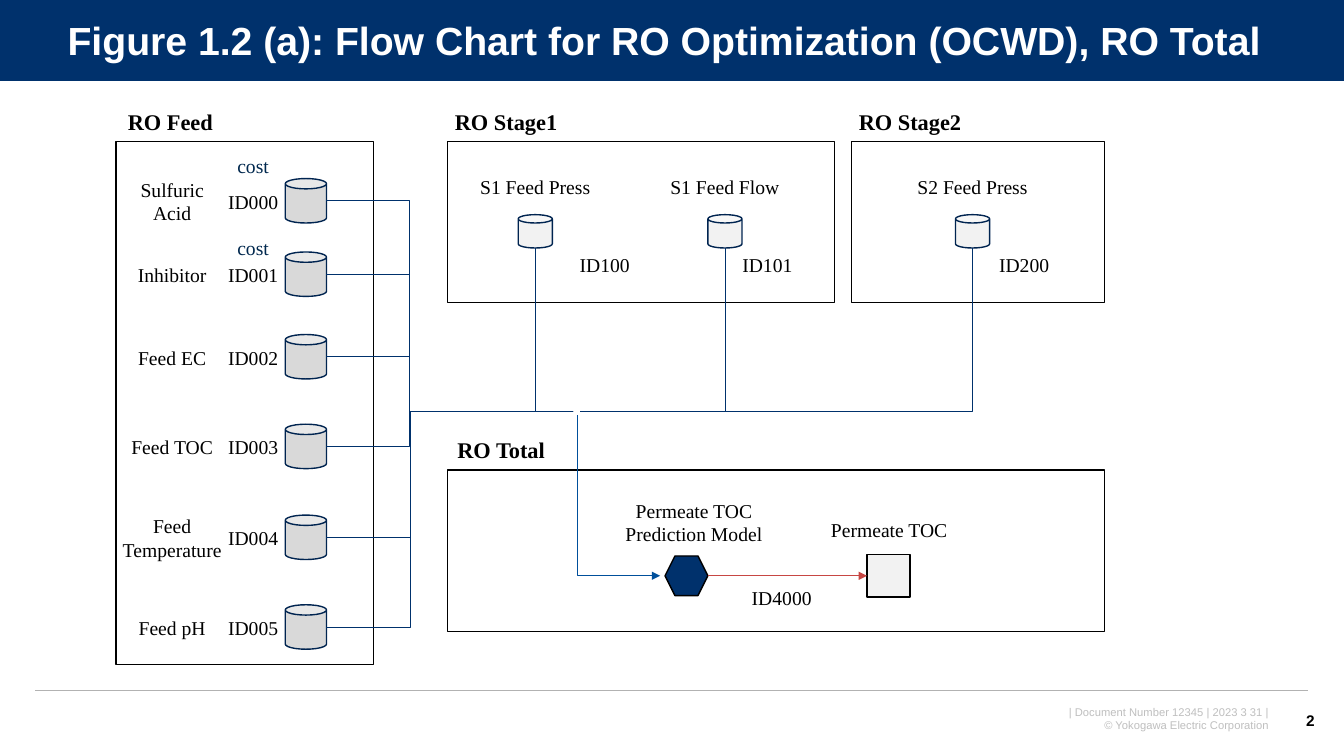
from pptx import Presentation
from pptx.dml.color import RGBColor
from pptx.enum.shapes import MSO_CONNECTOR, MSO_SHAPE
from pptx.enum.text import MSO_ANCHOR, MSO_AUTO_SIZE, PP_ALIGN
from pptx.oxml.ns import qn
from pptx.util import Cm, Pt
from lxml.etree import SubElement

NAVY, EDGE, BLACK, WHITE = "00316C", "002450", "000000", "FFFFFF"
SERIF, SANS = "Times New Roman", "Arial"
HUB_X, HUB_Y, HUB_D = 14.54, 10.36, 0.18

FEEDS = [  # name, tag, centre below the box top, offset of the cost note
    ("Sulfuric Acid", "ID000", 1.5, -0.87),
    ("Inhibitor", "ID001", 3.35, -0.66),
    ("Feed EC", "ID002", 5.43, None),
    ("Feed TOC", "ID003", 7.69, None),
    ("Feed Temperature", "ID004", 9.98, None),
    ("Feed pH", "ID005", 12.24, None),
]
STAGE1 = [("S1 Feed Press", "ID100", 2.21, 1.75), ("S1 Feed Flow", "ID101", 6.99, 1.07)]
STAGE2 = [("S2 Feed Press", "ID200", 3.05, 1.3)]


def rgb(value):
    return RGBColor.from_string(value)


def add_text(s, text, x, y, w, h, size=14, color=BLACK, bold=False,
             font=SERIF, align=PP_ALIGN.CENTER, anchor=MSO_ANCHOR.TOP):
    tf = s.shapes.add_textbox(Cm(x), Cm(y), Cm(w), Cm(h)).text_frame
    tf.word_wrap = True
    tf.vertical_anchor = anchor
    tf.text = text
    for p in tf.paragraphs:
        p.alignment = align
        p.font.size, p.font.name, p.font.bold = Pt(size), font, bold
        p.font.color.rgb = rgb(color)


def add_label(s, text, cx, cy, w, lines=1, color=BLACK):
    """Centre a label of one or two lines on a point."""
    h = 0.26 + 0.6 * lines
    add_text(s, text, cx - w / 2, cy - h / 2, w, h, color=color)


def add_box(s, kind, x, y, w, h, fill=None, line=None):
    sp = s.shapes.add_shape(kind, Cm(x), Cm(y), Cm(w), Cm(h))
    sp.shadow.inherit = False
    if fill:
        sp.fill.solid()
        sp.fill.fore_color.rgb = rgb(fill)
    else:
        sp.fill.background()
    if line:
        sp.line.color.rgb = rgb(line)
        sp.line.width = Pt(1)
    else:
        sp.line.fill.background()
    return sp


def add_line(s, x1, y1, x2, y2, color=NAVY, width=0.5,
             kind=MSO_CONNECTOR.STRAIGHT, arrow=None):
    """arrow is headEnd (start of the line) or tailEnd (its end)."""
    c = s.shapes.add_connector(kind, Cm(x1), Cm(y1), Cm(x2), Cm(y2))
    c.line.color.rgb = rgb(color)
    c.line.width = Pt(width)
    if arrow:
        SubElement(c.line._get_or_add_ln(), qn("a:" + arrow), type="triangle")
    SubElement(c._element.spPr, qn("a:effectLst"))
    return c


def add_corner(s, x1, y1, x2, y2, **style):
    """Elbow with one bend: first across, then up or down."""
    c = add_line(s, x1, y1, x2, y2, kind=MSO_CONNECTOR.ELBOW, **style)
    c._element.spPr.find(qn("a:prstGeom")).set("prst", "bentConnector2")


def add_trunk(s, x1, y1, x2, y2, bend):
    """Elbow with two bends; bend is the share of the way to the upright part."""
    c = add_line(s, x1, y1, x2, y2, kind=MSO_CONNECTOR.ELBOW)
    guides = c._element.spPr.find(qn("a:prstGeom")).get_or_add_avLst()
    SubElement(guides, qn("a:gd"), name="adj1", fmla=f"val {round(bend * 100000)}")


def add_frame(s, title, x, y, w, h, title_w):
    add_box(s, MSO_SHAPE.RECTANGLE, x, y, w, h, line=BLACK)
    add_text(s, title, x - 0.25, y - 0.97, title_w, 0.94, size=16, bold=True)


def add_feed(s, x, y, w, h):
    """Return the right-hand middle of every tank."""
    add_frame(s, "RO Feed", x, y, w, h, 3.25)
    tank_w, tank_h = 1.04, 1.12
    outlets = []
    for name, tag, dy, cost_dy in FEEDS:
        cy = y + dy
        add_box(s, MSO_SHAPE.CAN, x + 4.27, cy - tank_h / 2, tank_w, tank_h, "D9D9D9", EDGE)
        add_label(s, name, x + 1.42, cy + 0.02, 3.05, 2 if " " in name and len(name) > 8 else 1)
        add_label(s, tag, x + 3.46, cy + 0.02, 1.88)
        if cost_dy:
            add_label(s, "cost", x + 3.46, cy + cost_dy, 1.68, color="00284E")
        outlets.append((x + 4.27 + tank_w, cy))
    return outlets


def add_stage(s, title, tanks, x, y, w, h):
    """Return the bottom middle of every tank."""
    add_frame(s, title, x, y, w, h, 3.45)
    tank_w, tank_h, tank_y = 0.86, 0.84, y + 1.85
    outlets = []
    for name, tag, dx, tag_dx in tanks:
        cx = x + dx
        add_box(s, MSO_SHAPE.CAN, cx - tank_w / 2, tank_y, tank_w, tank_h, "F2F2F2", EDGE)
        add_label(s, name, cx, y + 1.15, 3.5)
        add_label(s, tag, cx + tag_dx, y + 3.12, 2.13)
        outlets.append((cx, tank_y + tank_h))
    return outlets


def add_total(s, x, y, w, h):
    """Return the point where the inflow reaches the model."""
    add_frame(s, "RO Total", x, y, w, h, 3.2)
    cy, side = y + 2.67, 1.08
    add_box(s, MSO_SHAPE.HEXAGON, x + 5.48, cy - 0.5, side, 1, NAVY, BLACK)
    result = add_box(s, MSO_SHAPE.RECTANGLE, x + 10.57, cy - side / 2, side, side, "F2F2F2", BLACK)
    flow = add_line(s, x + 5.48 + side, cy, x + 10.57, cy, "C74643", arrow="tailEnd")
    flow.end_connect(result, 1)
    add_label(s, "Permeate TOC Prediction Model", x + 6.21, y + 1.33, 4.55, 2)
    add_label(s, "Permeate TOC", x + 11.13, y + 1.52, 4.34)
    add_label(s, "ID4000", x + 8.42, y + 3.22, 2.6)
    return x + 5.36, cy


def add_pipes(s, feed_outlets, stage_outlets, model_inlet):
    r = HUB_D / 2
    add_box(s, MSO_SHAPE.OVAL, HUB_X - r, HUB_Y - r, HUB_D, HUB_D, WHITE)
    for x, y in stage_outlets:
        add_corner(s, HUB_X + (r if x > HUB_X else -r), HUB_Y, x, y)
    for i, (x, y) in enumerate(feed_outlets):
        add_trunk(s, HUB_X - r, HUB_Y, x, y, 0.665 if i < 4 else 0.66)
    add_corner(s, *model_inlet, HUB_X, HUB_Y + r, color="004F9B", arrow="headEnd")


def add_header(s, w, h):
    add_box(s, MSO_SHAPE.RECTANGLE, 0, 0, w, h, NAVY)
    add_line(s, 0, h, w, h, WHITE, 0.75)
    title = s.shapes.title
    s.shapes._spTree.append(title._element)  # in front of the band
    title.left, title.top, title.width, title.height = Cm(1.45), Cm(0.36), Cm(31.67), Cm(1.45)
    tf = title.text_frame
    tf.text = "Figure 1.2 (a): Flow Chart for RO Optimization (OCWD), RO Total"
    tf.auto_size = MSO_AUTO_SIZE.NONE
    tf.vertical_anchor = MSO_ANCHOR.MIDDLE
    p = tf.paragraphs[0]
    p.alignment, p.line_spacing = PP_ALIGN.LEFT, 0.9
    p.font.size, p.font.name, p.font.bold = Pt(28), SANS, True
    p.font.color.rgb = rgb(WHITE)


def add_footer(s, x, y, w):
    add_line(s, x, y, x + w, y, "B2B2B2", 1)
    add_text(s, "| Document Number 12345 | 2023 3 31 |\n© Yokogawa Electric Corporation",
             x + w - 8.89, y + 0.25, 8.15, 0.94, 8, "BFBFBF", font=SANS, align=PP_ALIGN.RIGHT)
    add_text(s, "2", x + w - 0.71, y + 0.25, 1.12, 1.02, 11, bold=True, font=SANS,
             align=PP_ALIGN.RIGHT, anchor=MSO_ANCHOR.MIDDLE)


def main():
    prs = Presentation()
    prs.slide_width, prs.slide_height = Cm(33.87), Cm(19.05)
    s = prs.slides.add_slide(prs.slide_layouts[5])
    add_header(s, 33.87, 2.06)
    feed_outlets = add_feed(s, 2.92, 3.56, 6.5, 13.18)
    stage_outlets = add_stage(s, "RO Stage1", STAGE1, 11.28, 3.56, 9.75, 4.07)
    stage_outlets += add_stage(s, "RO Stage2", STAGE2, 21.46, 3.56, 6.38, 4.07)
    model_inlet = add_total(s, 11.28, 11.84, 16.56, 4.08)
    add_pipes(s, feed_outlets, stage_outlets, model_inlet)
    add_footer(s, 0.89, 17.4, 32.08)
    prs.save("out.pptx")


if __name__ == "__main__":
    main()
